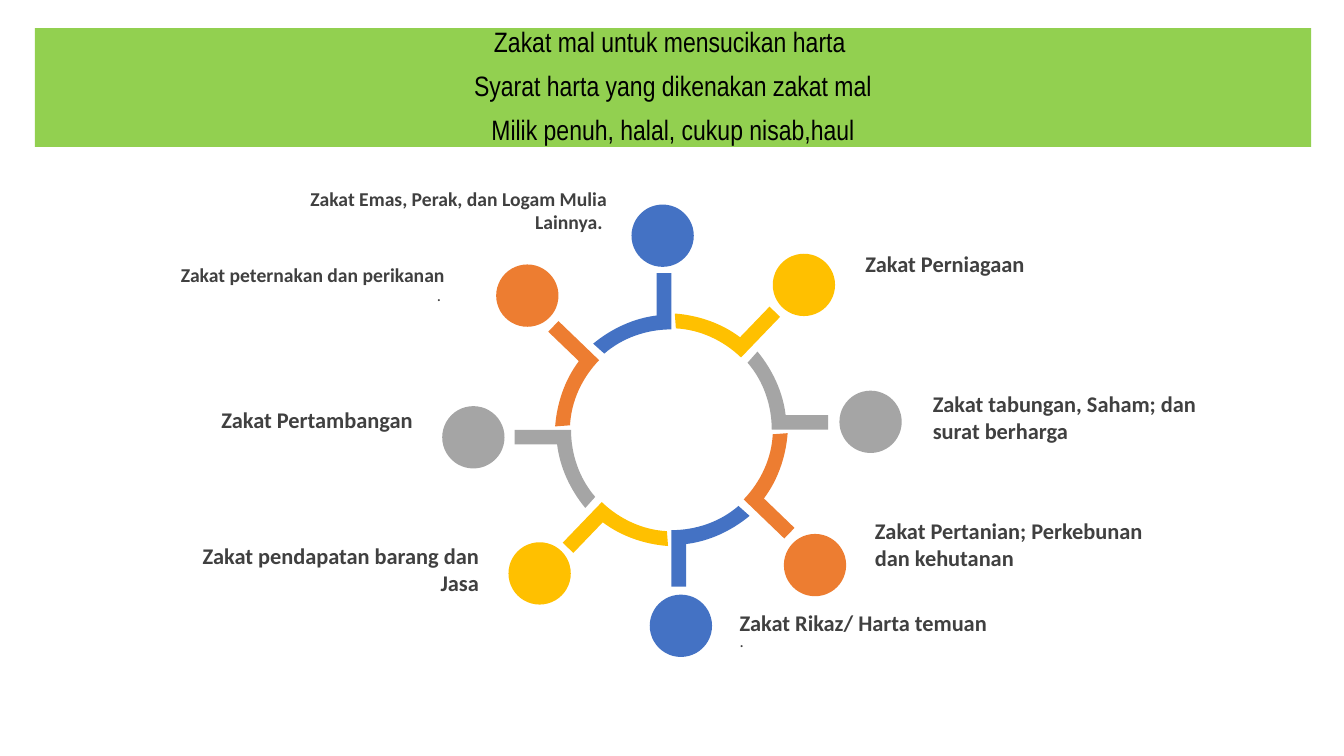
from itertools import cycle
from math import cos, radians, sin

from pptx import Presentation
from pptx.dml.color import RGBColor
from pptx.enum.shapes import MSO_SHAPE as Preset
from pptx.enum.text import MSO_ANCHOR as Anchor, MSO_AUTO_SIZE as AutoSize, PP_ALIGN as Align
from pptx.oxml.ns import qn
from pptx.util import Cm, Pt

COLORS = {
    "banner": "92D050",
    "title": "000000",
    "label": "404040",
    "blue": "4472C4",
    "orange": "ED7D31",
    "gray": "A5A5A5",
    "gold": "FFC000",
}
TITLE_LINES = [
    "Zakat mal untuk mensucikan harta ",
    "Syarat harta yang dikenakan zakat mal",
    "Milik penuh, halal, cukup nisab,haul",
]
SPOKE_OUTLINE = [
    (3.95, -0.37), (3.95, 0), (2.88, 0), (2.58, 0), (2.53, 0),
    (2.53, -0.62), (2.32, -1.23), (1.92, -1.69),
    (2.17, -1.97),
    (2.55, -1.51), (2.81, -0.95), (2.88, -0.37),
]
CURVE_STARTS = [4, 8]
SPOKES = [
    (270, -0.22, -4.89),
    (223.9, -3.63, -3.38),
    (180, -4.99, 0.19),
    (133.9, -3.32, 3.62),
    (90, 0.24, 4.94),
    (43.9, 3.62, 3.41),
    (0, 5.02, -0.2),
    (313.9, 3.34, -3.65),
]
LABELS = [
    (".", (18.39, 15.77, 8.23, 0.76), 12, Align.LEFT),
    ("Zakat Rikaz/ Harta temuan", (18.39, 15.23, 8.23, 0.94), 16, Align.LEFT),
    ("Zakat Perniagaan", (21.56, 6.17, 8.23, 0.94), 16, Align.LEFT),
    ("Zakat tabungan, Saham; dan surat berharga", (23.26, 9.7, 8.23, 1.63), 16, Align.LEFT),
    ("Zakat Pertanian; Perkebunan dan kehutanan", (21.8, 12.9, 8.23, 1.63), 16, Align.LEFT),
    ("Zakat Emas, Perak, dan Logam Mulia Lainnya. ", (7.27, 4.58, 8.28, 1.45), 14, Align.RIGHT),
    (". ", (3.18, 7.06, 8.28, 0.76), 12, Align.RIGHT),
    ("Zakat peternakan dan perikanan", (3.18, 6.5, 8.28, 0.86), 14, Align.RIGHT),
    ("Zakat Pertambangan", (2.37, 10.11, 8.28, 0.94), 16, Align.RIGHT),
    ("Zakat pendapatan barang dan Jasa", (4.04, 13.54, 8.28, 1.63), 16, Align.RIGHT),
]
DOT_SIZE = 1.57


def color(name):
    return RGBColor.from_string(COLORS[name])


def paint(shape, name):
    shape.fill.solid()
    shape.fill.fore_color.rgb = color(name)
    shape.line.fill.background()
    shape.shadow.inherit = False


def add_run(paragraph, text, font, size, name, bold=False):
    run = paragraph.add_run()
    run.text = text
    run.font.name = font
    run.font.size = Pt(size)
    run.font.bold = bold
    run.font.color.rgb = color(name)


def add_banner(slide, box):
    title = slide.shapes.title
    title.left, title.top, title.width, title.height = map(Cm, box)
    title.fill.solid()
    title.fill.fore_color.rgb = color("banner")
    frame = title.text_frame
    frame.word_wrap = True
    frame.auto_size = AutoSize.NONE
    frame.vertical_anchor = Anchor.MIDDLE
    for index, line in enumerate(TITLE_LINES):
        paragraph = frame.add_paragraph() if index else frame.paragraphs[0]
        paragraph.alignment = Align.CENTER
        paragraph.line_spacing = 0.9
        paragraph.space_before = Pt(10)
        add_run(paragraph, line, "Arial Narrow", 20, "title")


def bend_edges(shape):
    edges = list(shape.element.iter(qn("a:lnTo")))
    for start in CURVE_STARTS:
        curve = edges[start]
        curve.tag = qn("a:cubicBezTo")
        for edge in edges[start + 1:start + 3]:
            curve.append(edge[0])
            edge.getparent().remove(edge)


def add_spoke(slide, hub_x, hub_y, angle, name):
    points = [(Cm(hub_x + x), Cm(hub_y + y)) for x, y in SPOKE_OUTLINE]
    builder = slide.shapes.build_freeform(*points[0])
    builder.add_line_segments(points[1:], close=True)
    spoke = builder.convert_to_shape()
    bend_edges(spoke)
    x = spoke.left + spoke.width / 2 - Cm(hub_x)
    y = spoke.top + spoke.height / 2 - Cm(hub_y)
    turn = radians(angle)
    spoke.left = int(Cm(hub_x) + x * cos(turn) - y * sin(turn) - spoke.width / 2)
    spoke.top = int(Cm(hub_y) + x * sin(turn) + y * cos(turn) - spoke.height / 2)
    spoke.rotation = angle
    paint(spoke, name)


def add_dot(slide, center_x, center_y, name):
    left, top = center_x - DOT_SIZE / 2, center_y - DOT_SIZE / 2
    dot = slide.shapes.add_shape(Preset.OVAL, Cm(left), Cm(top), Cm(DOT_SIZE), Cm(DOT_SIZE))
    paint(dot, name)


def add_wheel(slide, box):
    left, top, width, height = box
    hub_x, hub_y = left + width / 2, top + height / 2
    names = ["blue", "orange", "gray", "gold"]
    for (angle, _, _), name in zip(SPOKES, cycle(names)):
        add_spoke(slide, hub_x, hub_y, angle, name)
    for (_, x, y), name in zip(SPOKES, cycle(names)):
        add_dot(slide, hub_x + x, hub_y + y, name)


def add_label(slide, text, box, size, alignment):
    label = slide.shapes.add_textbox(*map(Cm, box))
    frame = label.text_frame
    frame.word_wrap = True
    frame.auto_size = AutoSize.SHAPE_TO_FIT_TEXT
    paragraph = frame.paragraphs[0]
    paragraph.alignment = alignment
    add_run(paragraph, text, "Calibri", size, "label", bold=size > 12)


def main():
    presentation = Presentation()
    presentation.slide_width = Cm(33.87)
    presentation.slide_height = Cm(19.05)
    slide = presentation.slides.add_slide(presentation.slide_layouts[5])
    add_banner(slide, (0.88, 0.71, 32.16, 2.99))
    add_wheel(slide, (11.14, 5.05, 11.56, 11.56))
    for label in LABELS:
        add_label(slide, *label)
    presentation.save("out.pptx")


if __name__ == "__main__":
    main()
